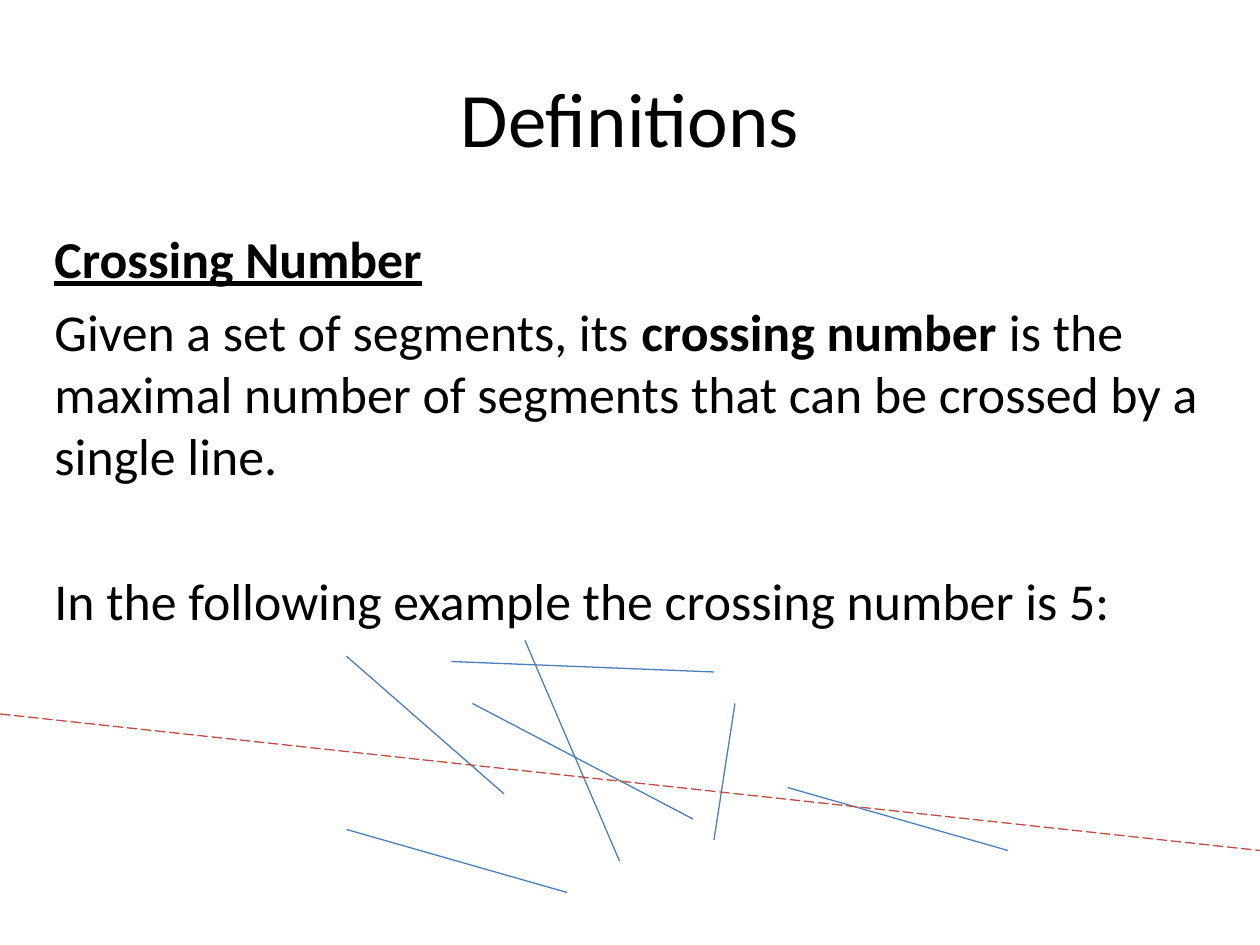
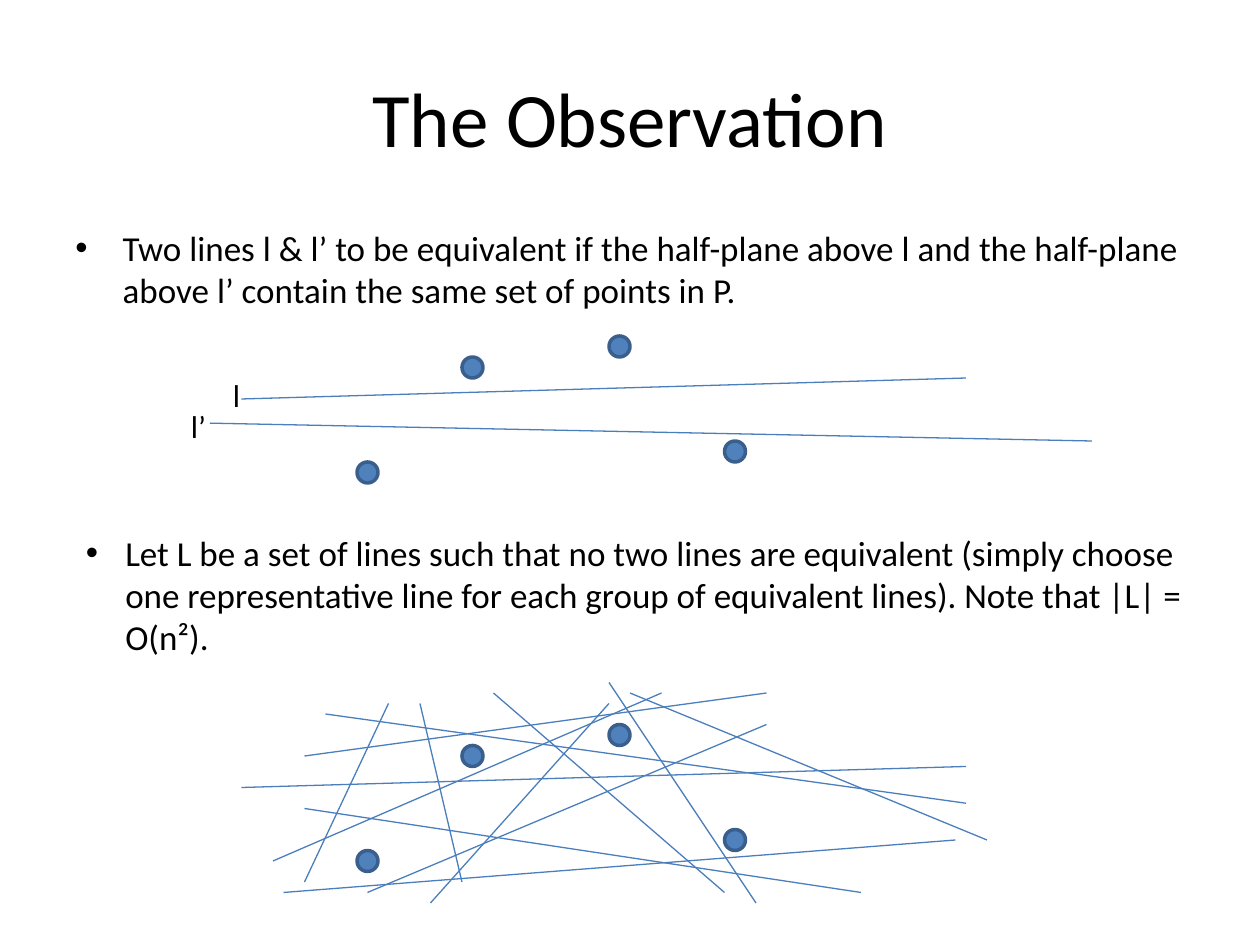
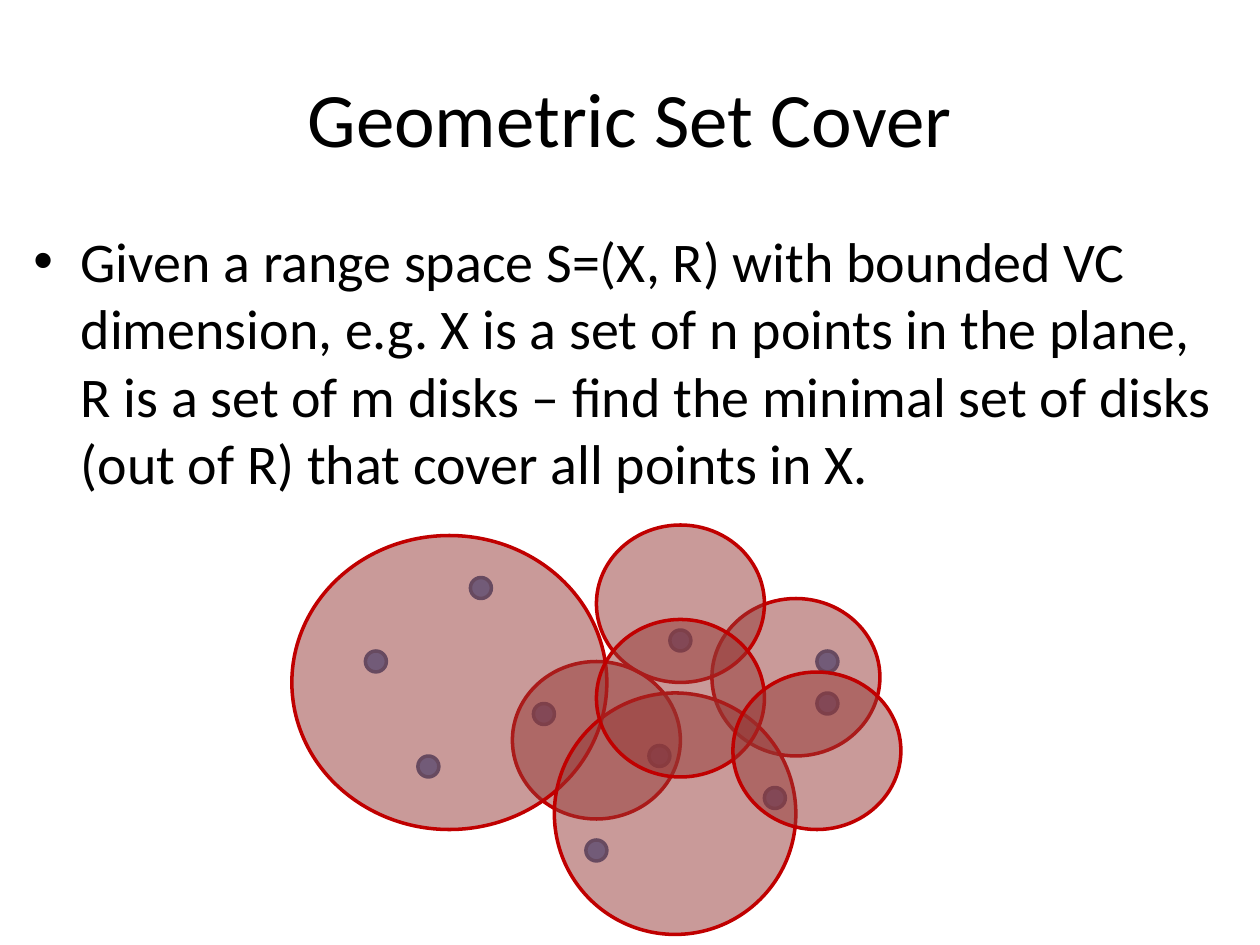
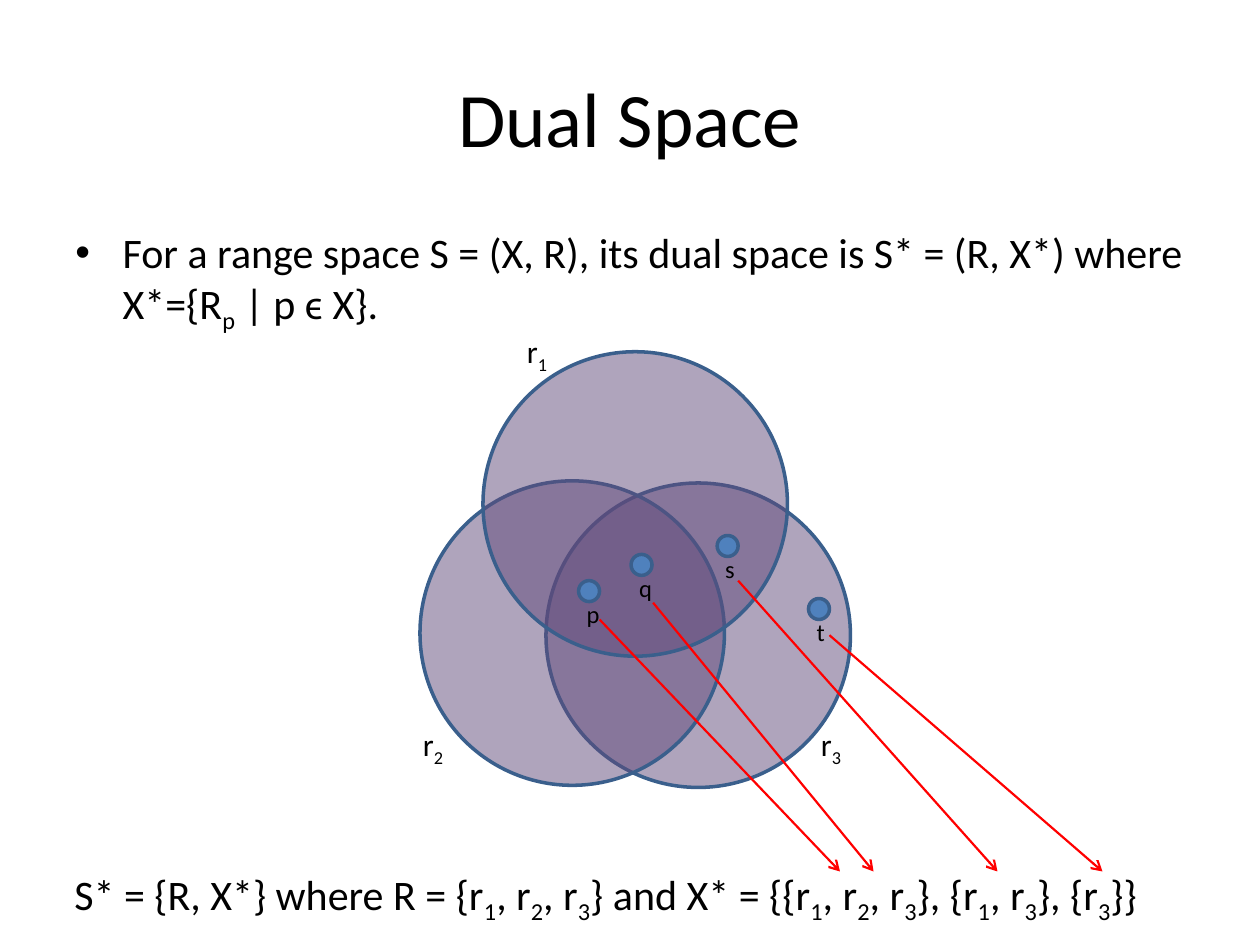
import pptx
import pptx.dml.color
import pptx.enum.dml
import pptx.enum.shapes
import pptx.enum.text
import pptx.oxml
import pptx.oxml.ns
import pptx.util

COLS, ROWS = 120, 90
FONT = "Calibri"
COLORS = {
    "text": "000000", "line": "4B7EBC", "crossing": "BF4C48", "arrow": "FF0000",
    "dot": "4F81BD", "edge": "3A5F8C",
    "disk": "953735", "disk_edge": "C00000", "range": "604A7B",
}
TITLE_BOX = (6, 3.6, 108, 15)
DOT = 2


def rgb(name):
    return pptx.dml.color.RGBColor.from_string(COLORS[name])


def add_xml(parent, tag, **attrs):
    el = pptx.oxml.OxmlElement(tag) if hasattr(pptx.oxml, "OxmlElement") else \
        parent.makeelement(pptx.oxml.ns.qn(tag), {})
    for key, value in attrs.items():
        el.set(key, str(value))
    parent.append(el)
    return el


def subscripts(text):
    """Split at "~" into runs; every second one is lowered."""
    return [(part, "sub" if i % 2 else "") for i, part in enumerate(text.split("~"))]


class Deck:
    """Holds the presentation and the current slide; lengths are grid columns and rows."""

    def __init__(self):
        self.prs = pptx.Presentation()
        self.prs.slide_width = pptx.util.Inches(10)
        self.prs.slide_height = pptx.util.Inches(7.5)
        self.slide = None

    def x(self, cols):
        return round(self.prs.slide_width * cols / COLS)

    def y(self, rows):
        return round(self.prs.slide_height * rows / ROWS)

    def box(self, left, top, width, height):
        return self.x(left), self.y(top), self.x(width), self.y(height)

    def new_slide(self, title):
        self.slide = self.prs.slides.add_slide(self.prs.slide_layouts[6])
        tf = self.text(TITLE_BOX, [title], 44)
        tf.vertical_anchor = pptx.enum.text.MSO_ANCHOR.MIDDLE
        tf.paragraphs[0].alignment = pptx.enum.text.PP_ALIGN.CENTER

    def text(self, at, paragraphs, size, before=(0,), indent=0):
        """Add a box; a paragraph is a string or a list of (text, style) runs."""
        tf = self.slide.shapes.add_textbox(*self.box(*at)).text_frame
        tf.word_wrap = True
        for i, runs in enumerate(paragraphs):
            p = tf.paragraphs[0] if i == 0 else tf.add_paragraph()
            p.space_before = pptx.util.Pt(before[i])
            if indent:
                self.bullet(p, indent)
            for words, style in [(runs, "")] if isinstance(runs, str) else runs:
                self.run(p, words, style, size)
        return tf

    def run(self, p, words, style, size):
        r = p.add_run()
        r.text = words
        r.font.name, r.font.size = FONT, pptx.util.Pt(size)
        r.font.color.rgb = rgb("text")
        r.font.bold = style in ("bold", "heading")
        r.font.underline = style == "heading"
        if style == "sub":
            r.font._element.set("baseline", "-25000")

    def bullet(self, p, indent):
        pPr = p._p.get_or_add_pPr()
        pPr.set("marL", str(self.x(indent)))
        pPr.set("indent", str(-self.x(indent)))
        add_xml(pPr, "a:buFont", typeface="Arial")
        add_xml(pPr, "a:buChar", char="•")

    def ellipse(self, at, fill, edge, alpha=None):
        s = self.slide.shapes.add_shape(pptx.enum.shapes.MSO_SHAPE.OVAL, *self.box(*at))
        s.shadow.inherit = False
        s.fill.solid()
        s.fill.fore_color.rgb = rgb(fill)
        s.line.color.rgb = rgb(edge)
        s.line.width = pptx.util.Pt(2)
        if alpha is not None:
            color = next(s._element.spPr.iter(pptx.oxml.ns.qn("a:srgbClr")))
            add_xml(color, "a:alpha", val=alpha * 1000)

    def dot(self, left, top):
        self.ellipse((left, top, DOT, DOT), "dot", "edge")

    def line(self, x1, y1, x2, y2, color="line", width=0.75, dash=None, arrow=False):
        s = self.slide.shapes.add_connector(
            pptx.enum.shapes.MSO_CONNECTOR.STRAIGHT,
            self.x(x1), self.y(y1), self.x(x2), self.y(y2))
        s.line.color.rgb = rgb(color)
        s.line.width = pptx.util.Pt(width)
        if dash:
            s.line.dash_style = dash
        if arrow:
            add_xml(s.line._get_or_add_ln(), "a:tailEnd", type="arrow")
        add_xml(s._element.spPr, "a:effectLst")


def definitions(deck):
    deck.new_slide("Definitions")
    deck.text((4, 21, 112, 38), [
        [("Crossing Number", "heading")],
        [("Given a set of segments, its ", ""), ("crossing number", "bold"),
         (" is the maximal number of segments that can be crossed by a single line.", "")],
        "In the following example the crossing number is 5:",
    ], 29.6, before=(6, 6, 47.5))
    segments = [
        (45, 67, 66, 78), (50, 61, 59, 82), (43, 63, 68, 64), (70, 67, 68, 80),
        (33, 62.5, 48, 75.6), (75, 75, 96, 81), (33, 79, 54, 85),
    ]
    for segment in segments:
        deck.line(*segment)
    deck.line(0, 68, COLS, 81, "crossing", dash=pptx.enum.dml.MSO_LINE.LONG_DASH)


def observation(deck):
    deck.new_slide("The Observation")
    deck.text((6, 21, 108, 15), [
        "Two lines l & l’ to be equivalent if the half-plane above l and the "
        "half-plane above l’ contain the same set of points in P."],
        20, before=(4,), indent=4.5)
    for drop in (0, 37):
        for left, top in [(44, 34), (69, 42), (34, 44), (58, 32)]:
            deck.dot(left, top + drop)
        deck.line(23, 38 + drop, 92, 36 + drop)
    deck.line(20, 40.3, 104, 42)
    deck.text((21, 35.2, 4, 4.8), ["l"], 18)
    deck.text((17, 38.2, 5, 4.8), ["l’"], 18)
    representatives = [
        (29, 84, 37, 67), (44, 84, 40, 67), (41, 86, 58, 67), (35, 85, 73, 69),
        (26, 82, 63, 66), (27, 85, 91, 80), (29, 77, 82, 85), (29, 72, 73, 66),
        (31, 68, 92, 76.5), (47, 66, 69, 85), (60, 66, 94, 80), (58, 65, 72, 86),
    ]
    for ends in representatives:
        deck.line(*ends)
    deck.text((7, 50, 107, 13.3), [
        "Let L be a set of lines such that no two lines are equivalent (simply choose "
        "one representative line for each group of equivalent lines). "
        "Note that |L| = O(n²)."], 20, indent=3.75)


def set_cover(deck):
    deck.new_slide("Geometric Set Cover")
    deck.text((2, 21, 116, 64), [
        "Given a range space S=(X, R) with bounded VC dimension, e.g. X is a set of n "
        "points in the plane, R is a set of m disks – find the minimal set of disks "
        "(out of R) that cover all points in X."], 32, before=(6.4,), indent=4.5)
    shift = -0.2
    points = [(62, 71), (51, 67), (78, 66), (64, 60), (40, 72),
              (45, 55), (56, 80), (73, 75), (78, 62), (35, 62)]
    for left, top in points:
        deck.dot(left + shift, top)
    small = (16, 15)
    disks = [(68, 57, *small), (49, 63, *small), (28, 51, 30, 28), (53, 66, 23, 23),
             (57, 50, *small), (57, 59, *small), (70, 64, *small)]
    for left, top, width, height in disks:
        deck.ellipse((left + shift, top, width, height), "disk", "disk_edge", alpha=50)


def dual_space(deck):
    deck.new_slide("Dual Space")
    deck.text((6, 21, 108, 13), [subscripts(
        "For a range space S = (X, R), its dual space is S* = (R, X*) where "
        "X*={R~p~ | p ϵ X}.")], 24, before=(4.8,), indent=4.5)
    diameter = 29
    for left, top in [(52, 46), (40, 45.8), (46, 33.5)]:
        deck.ellipse((left, top, diameter, diameter), "range", "edge", alpha=50)
    for name, left, top in [("p", 55.1, 55.3), ("q", 60.1, 52.8),
                            ("s", 68.3, 51), ("t", 77, 57)]:
        deck.dot(left, top)
        deck.text((left - 0.25, top + 1.15, 2.2, 4.1), [name], 14)
    for number, left, top in [(1, 49, 31), (2, 39.1, 68.5), (3, 77, 68.5)]:
        deck.text((left, top, 6.1, 5), [subscripts(f"r~{number}")], 18)
    deck.text((5.9, 82.1, 110, 6), [subscripts(
        "S* = {R, X*} where R = {r~1~, r~2~, r~3~} and "
        "X* = {{r~1~, r~2~, r~3~}, {r~1~, r~3~}, {r~3~}}")], 24)
    for x1, y1, x2 in [(57.1, 59, 80), (62.2, 57.4, 83.2), (70.3, 55.3, 95), (79, 60.5, 105)]:
        deck.line(x1, y1, x2, 83, "arrow", 1.25, arrow=True)


def main():
    deck = Deck()
    for build in (definitions, observation, set_cover, dual_space):
        build(deck)
    deck.prs.save("out.pptx")


if __name__ == "__main__":
    main()
